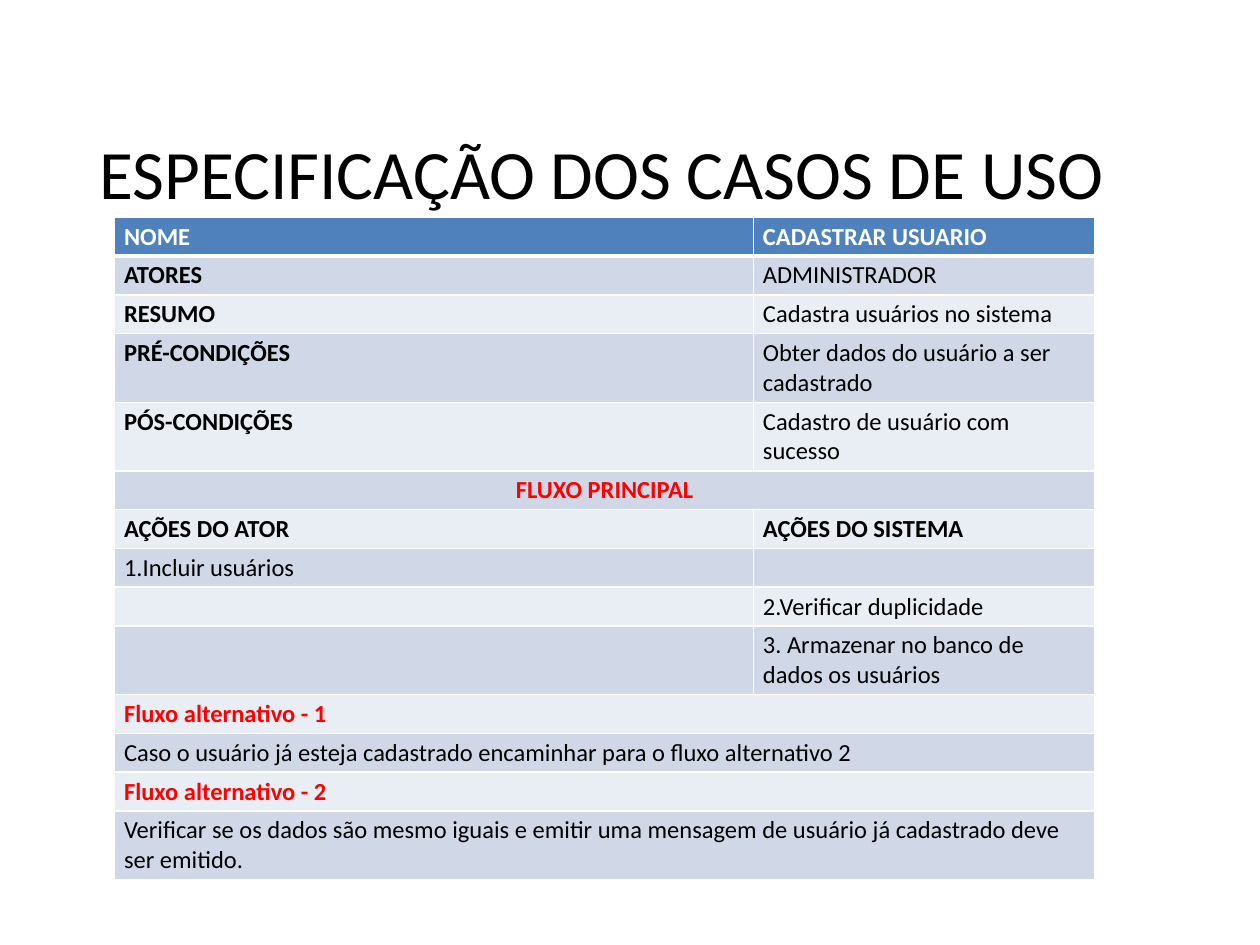
"""Build the use case specification slide with its title and table."""
from dataclasses import dataclass

from lxml.etree import SubElement
from pptx import Presentation
from pptx.dml.color import RGBColor
from pptx.enum.text import MSO_ANCHOR as Anchor, MSO_AUTO_SIZE as AutoSize, PP_ALIGN as Align
from pptx.oxml.ns import qn
from pptx.util import Cm, Pt

FONT = "Calibri"
TEXT_SIZE = 14
COLORS = {
    "header": "4F81BD",
    "dark_band": "D0D8E8",
    "light_band": "E9EDF4",
    "white": "FFFFFF",
    "black": "000000",
    "red": "FF0000",
}


@dataclass(frozen=True)
class Row:
    texts: tuple[str, ...]
    bold: tuple[bool, ...] = (True, False)
    color: str = "black"
    lines: int = 1
    centered: bool = False


ROWS = [
    Row(("NOME", "CADASTRAR USUARIO"), (True, True), "white"),
    Row(("ATORES", "ADMINISTRADOR")),
    Row(("RESUMO", "Cadastra usuários no sistema")),
    Row(("PRÉ-CONDIÇÕES", "Obter dados do usuário a ser cadastrado"), lines=2),
    Row(("PÓS-CONDIÇÕES", "Cadastro de usuário com sucesso"), lines=2),
    Row(("FLUXO PRINCIPAL",), color="red", centered=True),
    Row(("AÇÕES DO ATOR", "AÇÕES DO SISTEMA"), (True, True)),
    Row(("1.Incluir usuários", ""), (False, False)),
    Row(("", "2.Verificar duplicidade")),
    Row(("", "3. Armazenar no banco de dados os usuários"), lines=2),
    Row(("Fluxo alternativo - 1",), color="red"),
    Row(("Caso o usuário já esteja cadastrado encaminhar para o fluxo alternativo 2",), (False,)),
    Row(("Fluxo alternativo - 2",), color="red"),
    Row(
        ("Verificar se os dados são mesmo iguais e emitir uma mensagem de "
         "usuário já cadastrado deve ser emitido.",),
        (False,),
        lines=2,
    ),
]
COLUMN_WIDTHS = (Cm(12.88), Cm(6.88))
ROW_HEIGHTS = {1: Cm(0.74), 2: Cm(1.32)}


def format_paragraph(paragraph, size: float, color: str, bold: bool = False) -> None:
    """Apply the font to every run of a paragraph."""
    for run in paragraph.runs:
        run.font.name = FONT
        run.font.size = Pt(size)
        run.font.bold = bold
        run.font.color.rgb = RGBColor.from_string(COLORS[color])


def add_title(slide, text: str) -> None:
    """Place and fill the title placeholder."""
    title = slide.shapes.title
    title.left, title.top, title.width, title.height = Cm(1.75), Cm(2.46), Cm(21.9), Cm(2)
    frame = title.text_frame
    frame.text = text
    frame.auto_size = AutoSize.NONE
    frame.vertical_anchor = Anchor.MIDDLE
    paragraph = frame.paragraphs[0]
    paragraph.alignment = Align.LEFT
    format_paragraph(paragraph, 39.6, "black")


def add_borders(cell, row_index: int) -> None:
    """Draw white cell borders, thicker below the header row."""
    thick_edge = {0: "lnB", 1: "lnT"}.get(row_index)
    properties = cell._tc.get_or_add_tcPr()
    for edge in ("lnL", "lnR", "lnT", "lnB"):
        width = Pt(3 if edge == thick_edge else 1)
        line = SubElement(properties, qn(f"a:{edge}"), w=str(width))
        fill = SubElement(line, qn("a:solidFill"))
        SubElement(fill, qn("a:srgbClr"), val=COLORS["white"])


def style_cell(cell, row_index: int) -> None:
    """Set the borders, band fill and margins of a cell."""
    add_borders(cell, row_index)
    band = "header" if row_index == 0 else ("light_band", "dark_band")[row_index % 2]
    cell.fill.solid()
    cell.fill.fore_color.rgb = RGBColor.from_string(COLORS[band])
    cell.margin_left = cell.margin_right = Cm(0.19)
    cell.margin_top = cell.margin_bottom = Cm(0.09)


def write_cell(cell, text: str, row: Row, bold: bool) -> None:
    """Write a cell, keeping the text size when it is empty."""
    paragraph = cell.text_frame.paragraphs[0]
    if not text:
        SubElement(paragraph._p, qn("a:endParaRPr"), sz=str(TEXT_SIZE * 100))
        return
    paragraph.text = text
    format_paragraph(paragraph, TEXT_SIZE, row.color, bold)
    if row.centered:
        paragraph.alignment = Align.CENTER
        cell.vertical_anchor = Anchor.MIDDLE


def add_use_case_table(slide, rows: list[Row]) -> None:
    """Add the use case table, merging rows that hold a single text."""
    heights = [ROW_HEIGHTS[row.lines] for row in rows]
    table = slide.shapes.add_table(
        len(rows), len(COLUMN_WIDTHS), Cm(2.31), Cm(4.38), sum(COLUMN_WIDTHS), sum(heights)
    ).table
    for column, width in zip(table.columns, COLUMN_WIDTHS):
        column.width = width
    for row_index, row in enumerate(rows):
        table.rows[row_index].height = heights[row_index]
        cells = list(table.rows[row_index].cells)
        for cell in cells:
            style_cell(cell, row_index)
        if len(row.texts) == 1:
            cells[0].merge(cells[-1])
        for cell, text, bold in zip(cells, row.texts, row.bold):
            write_cell(cell, text, row, bold)


def main() -> None:
    """Create and save the presentation."""
    presentation = Presentation()
    presentation.slide_width, presentation.slide_height = Cm(25.4), Cm(19.05)
    slide = presentation.slides.add_slide(presentation.slide_layouts[5])
    add_title(slide, "ESPECIFICAÇÃO DOS CASOS DE USO")
    add_use_case_table(slide, ROWS)
    presentation.save("out.pptx")


if __name__ == "__main__":
    main()
